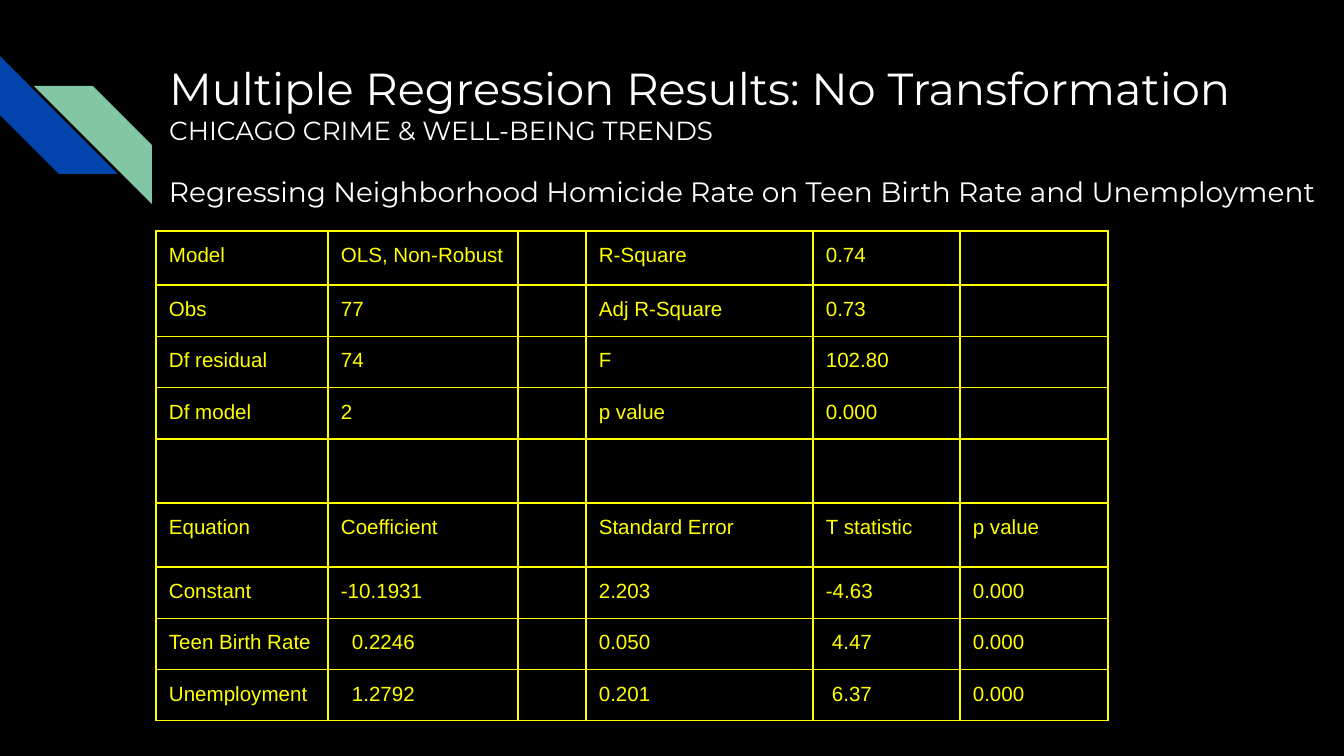
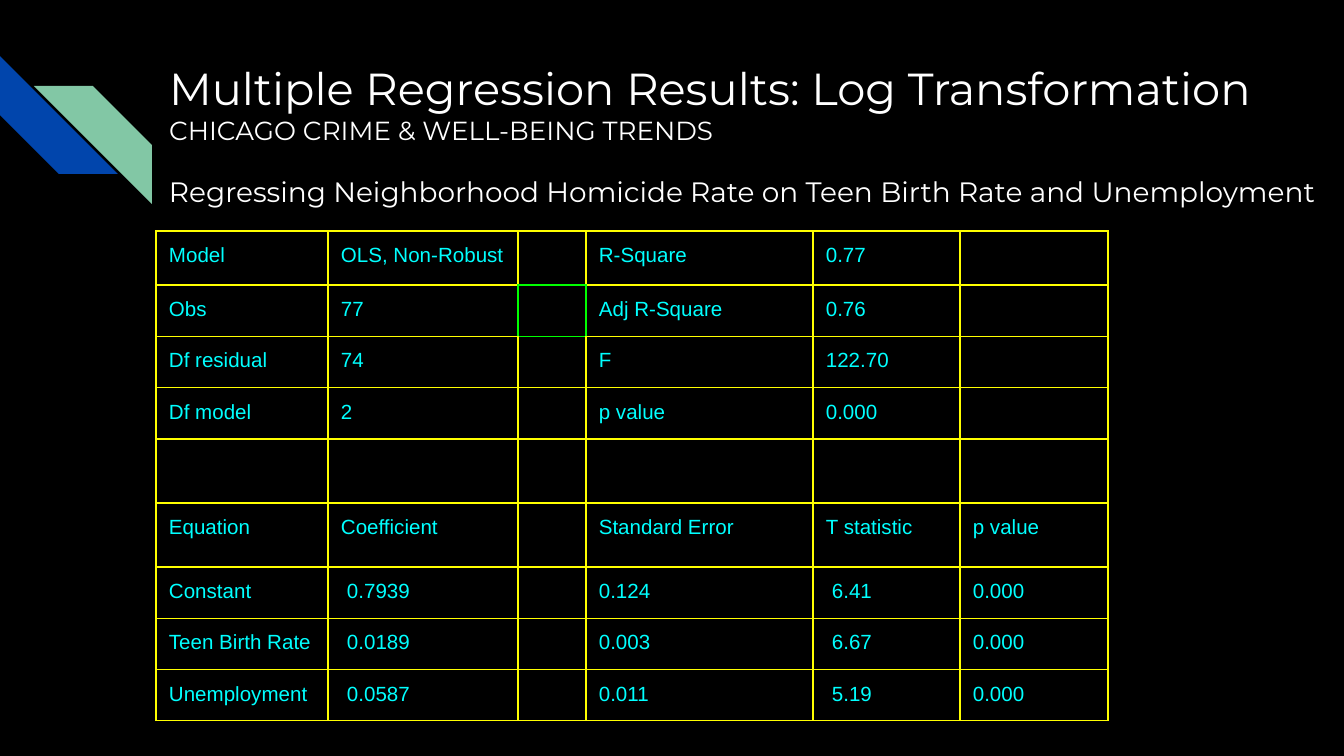
import pptx
import pptx.dml.color
import pptx.enum.shapes
import pptx.enum.text
import pptx.oxml.ns
import pptx.util
from lxml import etree

PX = 914400 / 134.4
BLACK, WHITE, BLUE, MINT = "000000", "FFFFFF", "0145AC", "82C7A5"
YELLOW, CYAN, GREEN = "FFFF00", "00FFFF", "00FF00"
HEAD_FONT, TABLE_FONT = "Montserrat", "Arial"
INSET = 13
COLS = [172, 190, 68, 227, 147, 148]
ROWS = [54, 50, 50, 50, 64, 64, 50, 50, 50]
FIRST_TERM_ROW = 6
SIDES = {"lnL": (0, -1), "lnR": (0, 1), "lnT": (-1, 0), "lnB": (1, 0)}
SUBTITLE = "CHICAGO CRIME & WELL-BEING TRENDS"
LEAD = "Regressing Neighborhood Homicide Rate on Teen Birth Rate and Unemployment"


def px(n):
    """Turn px into EMU."""
    return pptx.util.Emu(round(n * PX))


def color(value):
    """Turn a hex string into a colour."""
    return pptx.dml.color.RGBColor.from_string(value)


def add_text(tf, text, size, font=HEAD_FONT, fill=WHITE, new=False):
    """Write one left-aligned formatted paragraph."""
    p = tf.add_paragraph() if new else tf.paragraphs[0]
    p.alignment = pptx.enum.text.PP_ALIGN.LEFT
    r = p.add_run()
    r.text = text
    r.font.size = pptx.util.Pt(size)
    r.font.name = font
    r.font.color.rgb = color(fill)


def set_frame(sp, x, y, w, h):
    """Place a text shape and return its top-anchored frame."""
    sp.left, sp.top, sp.width, sp.height = map(px, (x, y, w, h))
    tf = sp.text_frame
    tf.word_wrap = True
    tf.auto_size = pptx.enum.text.MSO_AUTO_SIZE.NONE
    tf.vertical_anchor = pptx.enum.text.MSO_ANCHOR.TOP
    tf.margin_left = tf.margin_right = tf.margin_top = tf.margin_bottom = px(INSET)
    return tf


def add_stripe(s, x, y, fill, rotation=0, flip=False):
    """Add one diagonal corner stripe."""
    kind = pptx.enum.shapes.MSO_SHAPE.DIAGONAL_STRIPE
    sp = s.shapes.add_shape(kind, px(x), px(y), px(118), px(118))
    sp.shadow.inherit = False
    sp.fill.solid()
    sp.fill.fore_color.rgb = color(fill)
    sp.line.fill.background()
    sp.rotation = rotation
    if flip:
        sp.element.spPr.find(pptx.oxml.ns.qn("a:xfrm")).set("flipH", "1")


def set_borders(cell, colors):
    """Draw the four sides of a cell."""
    qn = pptx.oxml.ns.qn
    tc_pr = cell._tc.get_or_add_tcPr()
    for i, (side, value) in enumerate(colors.items()):
        ln = etree.Element(qn(f"a:{side}"), w=str(pptx.util.Pt(0.75)))
        fill = etree.SubElement(ln, qn("a:solidFill"))
        etree.SubElement(fill, qn("a:srgbClr"), val=value)
        tc_pr.insert(i, ln)


def fill_cell(cell, text, fill, indent):
    """Format one table cell and write its text."""
    cell.fill.background()
    cell.margin_left = px(INSET + indent)
    cell.margin_right = cell.margin_top = cell.margin_bottom = px(INSET)
    if text:
        add_text(cell.text_frame, text, 11, font=TABLE_FONT, fill=fill)
    else:
        p = cell.text_frame.paragraphs[0]._p
        etree.SubElement(p, pptx.oxml.ns.qn("a:endParaRPr"), sz="1100")


def add_results_table(s, rows, fill, indents, marked=None):
    """Add the regression table, indenting unsigned estimates."""
    shape = s.shapes.add_table(len(ROWS), len(COLS), px(156), px(231),
                               px(sum(COLS)), px(sum(ROWS)))
    table = shape.table
    table.first_row = table.horz_banding = False
    for column, width in zip(table.columns, COLS):
        column.width = px(width)
    for row, height in zip(table.rows, ROWS):
        row.height = px(height)
    for i, texts in enumerate(rows):
        for j, text in enumerate(texts):
            cell = table.cell(i, j)
            unsigned = i >= FIRST_TERM_ROW and not text.startswith("-")
            fill_cell(cell, text, fill, indents.get(j, 0) if unsigned else 0)
            set_borders(cell, {
                side: GREEN if marked in ((i, j), (i + di, j + dj)) else YELLOW
                for side, (di, dj) in SIDES.items()})


def result_rows(r_square, adjusted, f_value, terms):
    """Lay out the fit summary above the coefficient rows."""
    rows = [
        ["Model", "OLS, Non-Robust", "", "R-Square", r_square, ""],
        ["Obs", "77", "", "Adj R-Square", adjusted, ""],
        ["Df residual", "74", "", "F", f_value, ""],
        ["Df model", "2", "", "p value", "0.000", ""],
        [""] * len(COLS),
        ["Equation", "Coefficient", "", "Standard Error", "T statistic", "p value"],
    ]
    names = ["Constant", "Teen Birth Rate", "Unemployment"]
    for name, (coefficient, error, t_value) in zip(names, terms):
        rows.append([name, coefficient, "", error, t_value, "0.000"])
    return rows


def add_results_slide(prs, transformation, rows, fill, indents, marked=None):
    """Add one regression results slide."""
    s = prs.slides.add_slide(prs.slide_layouts[5])
    add_stripe(s, 0, 56, BLUE, rotation=270)
    add_stripe(s, 34, 86, MINT, flip=True)
    tf = set_frame(s.shapes.title, 156, 48, 1137, 126)
    add_text(tf, f"Multiple Regression Results: {transformation} Transformation", 24)
    add_text(tf, SUBTITLE, 14, new=True)
    tf = set_frame(s.shapes.add_textbox(0, 0, 0, 0), 156, 161, 1188, 126)
    add_text(tf, LEAD, 15)
    add_results_table(s, rows, fill, indents, marked)


def main():
    """Build and save the presentation."""
    prs = pptx.Presentation()
    prs.slide_width, prs.slide_height = px(1344), px(756)
    background = prs.slide_master.background.fill
    background.solid()
    background.fore_color.rgb = color(BLACK)
    plain = result_rows("0.74", "0.73", "102.80", [
        ("-10.1931", "2.203", "-4.63"),
        ("0.2246", "0.050", "4.47"),
        ("1.2792", "0.201", "6.37")])
    logged = result_rows("0.77", "0.76", "122.70", [
        ("0.7939", "0.124", "6.41"),
        ("0.0189", "0.003", "6.67"),
        ("0.0587", "0.011", "5.19")])
    add_results_slide(prs, "No", plain, YELLOW, {1: 11, 4: 6})
    add_results_slide(prs, "Log", logged, CYAN, {1: 6, 4: 6}, marked=(1, 2))
    prs.save("out.pptx")


if __name__ == "__main__":
    main()
